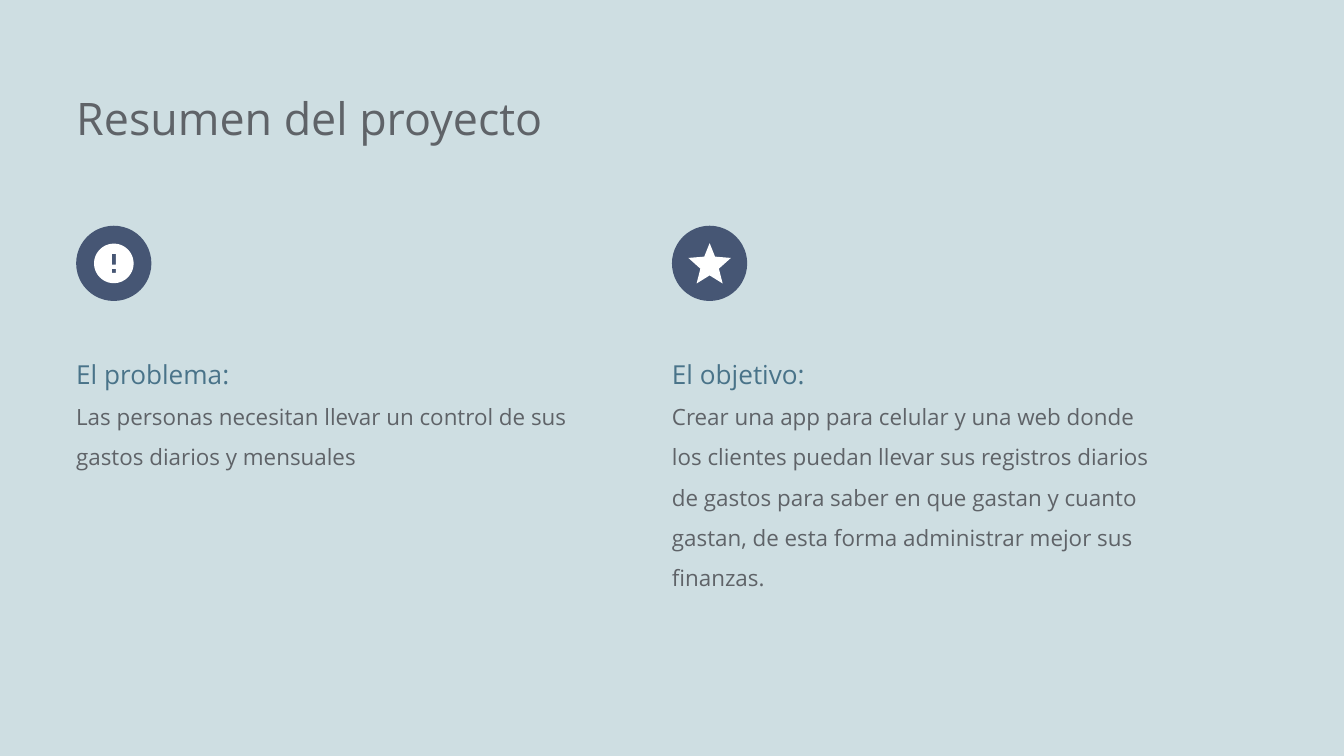
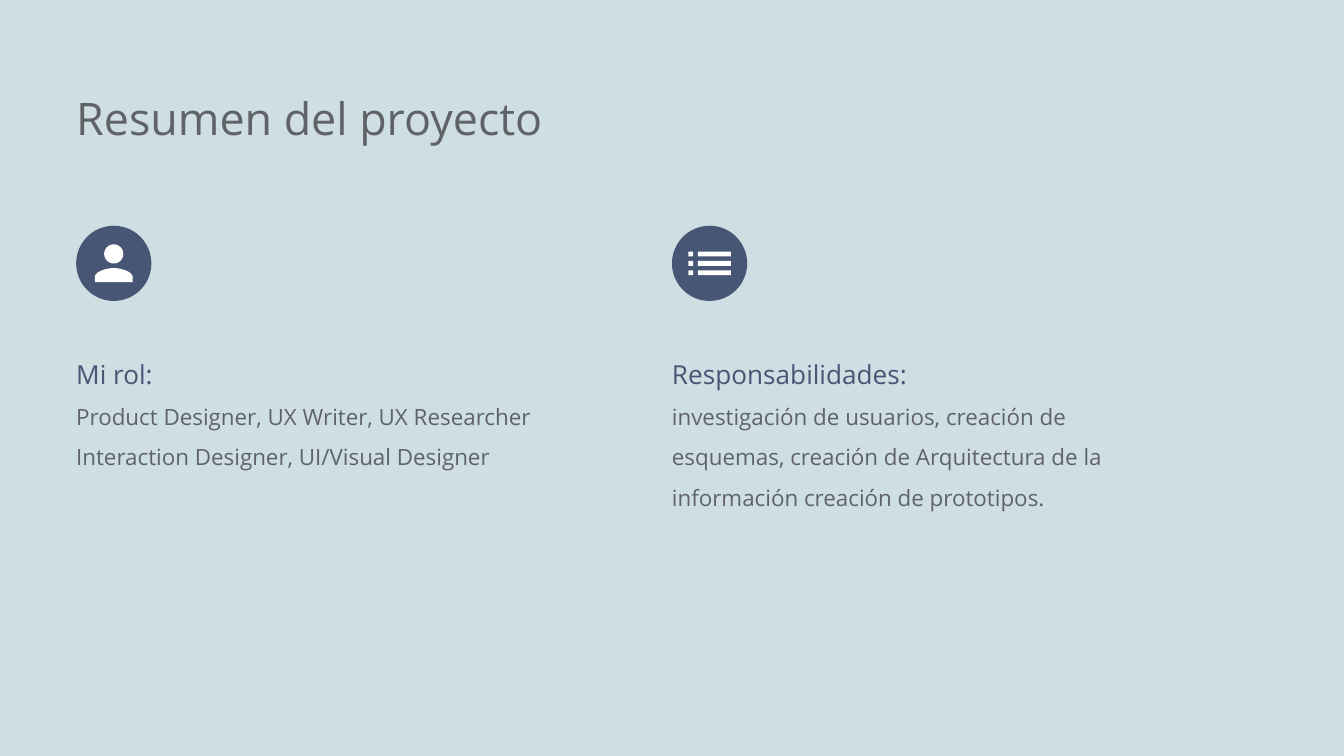
from math import cos, pi, sin

from pptx import Presentation
from pptx.dml.color import RGBColor as Rgb
from pptx.enum.shapes import MSO_SHAPE as Shape
from pptx.enum.text import MSO_ANCHOR as Anchor, MSO_AUTO_SIZE as Fit, PP_ALIGN as Align
from pptx.util import Inches, Pt

FONT = "Open Sans"
COLORS = {
    "back": "CEDEE2",
    "text": "5F6368",
    "teal": "497389",
    "navy": "465674",
    "white": "FFFFFF",
}
WIDTH = Inches(10)
HEIGHT = WIDTH * 9 // 16
CELL = WIDTH / 100
TITLE = (5.67, 5.74, 67.3, 6.1)
COLUMNS = (5.67, 50)
TOP, SPAN, DISC, DROP = 16.8, 37.7, 5.6, 7.7


def grid(*cells):
    return [round(cell * CELL) for cell in cells]


def paint(shape, color):
    shape.shadow.inherit = False
    shape.fill.solid()
    shape.fill.fore_color.rgb = Rgb.from_string(COLORS[color])
    shape.line.fill.background()


def style(para, size, color):
    for run in para.runs:
        run.font.name = FONT
        run.font.size = Pt(size)
        run.font.color.rgb = Rgb.from_string(COLORS[color])


def frame(shape):
    body = shape.text_frame
    body.word_wrap = True
    body.auto_size = Fit.SHAPE_TO_FIT_TEXT
    body.vertical_anchor = Anchor.TOP
    body.margin_left = 0
    body.margin_top = body.margin_right = body.margin_bottom = Inches(0.1)
    return body


def ring(x, y, radius, count=72):
    turns = [2 * pi * i / count for i in range(count)]
    return [(x + radius * cos(t), y + radius * sin(t)) for t in turns]


def bar(left, top, right, bottom):
    return [(left, top), (right, top), (right, bottom), (left, bottom)]


def curve(a, b, c, d, count=20):
    points = []
    for i in range(count + 1):
        t = i / count
        parts = ((1 - t) ** 3, 3 * t * (1 - t) ** 2, 3 * t * t * (1 - t), t ** 3)
        points.append(tuple(sum(p * v for p, v in zip(parts, axis))
                            for axis in zip(a, b, c, d)))
    return points


def mirror(half):
    return half + [(-x, y) for x, y in reversed(half)]


def alert():
    return [ring(0, 0, 1.47), bar(-0.15, -0.7, 0.15, 0.1), bar(-0.15, 0.4, 0.15, 0.7)]


def star():
    return [mirror([(0, -1.5), (0.4, -0.5), (1.58, -0.4), (0.69, 0.4), (0.97, 1.5), (0, 0.9)])]


def person():
    side = curve((0, 0.35), (0.47, 0.35), (1.41, 0.58), (1.41, 1.05))
    return [ring(0, -0.7, 0.71), mirror(side + [(1.41, 1.4)])]


def menu():
    return [bar(left, y - 0.18, right, y + 0.18)
            for y in (-0.7, 0, 0.7) for left, right in ((-1.58, -1.22), (-0.88, 1.58))]


def draw_icon(slide, x, y, loops):
    loops = [[grid(x + dx, y + dy) for dx, dy in loop] for loop in loops]
    pen = slide.shapes.build_freeform(*loops[0][0])
    for i, loop in enumerate(loops):
        if i:
            pen.move_to(*loop[0])
        pen.add_line_segments(loop[1:], close=True)
    paint(pen.convert_to_shape(), "white")


def add_column(slide, left, color, icon, head, lines, height):
    box = slide.shapes.add_textbox(*grid(left, TOP + DROP, SPAN, height))
    body = frame(box)
    body.text = "\n".join([head, *lines])
    for i, para in enumerate(body.paragraphs):
        para.line_spacing = 1.5
        style(para, 12 if i else 14, "text" if i else color)
    disc = slide.shapes.add_shape(Shape.OVAL, *grid(left, TOP, DISC, DISC))
    paint(disc, "navy")
    draw_icon(slide, left + DISC / 2, TOP + DISC / 2, icon())


def add_title(slide, text):
    title = slide.shapes.title
    title.left, title.top, title.width, title.height = grid(*TITLE)
    body = frame(title)
    body.text = text
    para = body.paragraphs[0]
    para.alignment = Align.LEFT
    style(para, 24, "text")


def add_summary(deck, color, items):
    slide = deck.slides.add_slide(deck.slide_layouts[5])
    add_title(slide, "Resumen del proyecto")
    for left, item in zip(COLUMNS, items):
        add_column(slide, left, color, *item)


def main():
    deck = Presentation()
    deck.slide_width, deck.slide_height = WIDTH, HEIGHT
    back = deck.slide_master.background.fill
    back.solid()
    back.fore_color.rgb = Rgb.from_string(COLORS["back"])
    add_summary(deck, "teal", [
        (alert, "El problema:",
         ["Las personas necesitan llevar un control de sus gastos diarios y mensuales"], 11.6),
        (star, "El objetivo:",
         ["Crear una app para celular y una web donde los clientes puedan llevar sus "
          "registros diarios de gastos para saber en que gastan y cuanto gastan, de esta "
          "forma administrar mejor sus finanzas."], 20.7),
    ])
    add_summary(deck, "navy", [
        (person, "Mi rol:",
         ["Product Designer, UX Writer, UX Researcher",
          "Interaction Designer, UI/Visual Designer"], 11.6),
        (menu, "Responsabilidades:",
         ["investigación de usuarios, creación de esquemas, creación de Arquitectura de la "
          "información creación de prototipos."], 14.6),
    ])
    deck.save("out.pptx")


if __name__ == "__main__":
    main()
